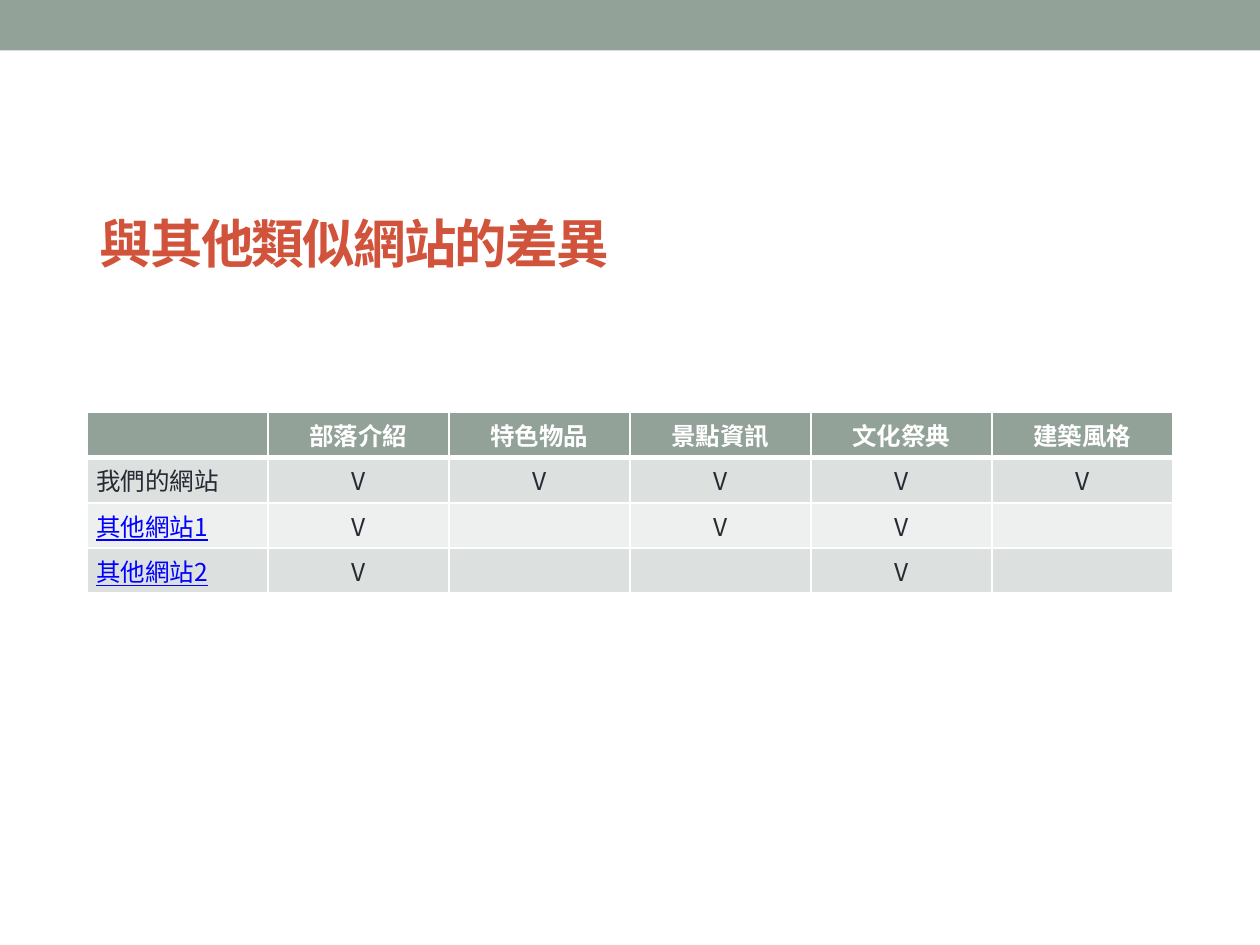
import pptx
import pptx.util
import pptx.dml.color
import pptx.enum.shapes
import pptx.enum.text
import pptx.oxml.ns
from lxml import etree

Pt = pptx.util.Pt
RGBColor = pptx.dml.color.RGBColor
PP_ALIGN = pptx.enum.text.PP_ALIGN
MSO_ANCHOR = pptx.enum.text.MSO_ANCHOR
qn = pptx.oxml.ns.qn

SAGE = RGBColor(0x93, 0xA2, 0x99)
RED = RGBColor(0xD2, 0x53, 0x3C)
WHITE = RGBColor(0xFF, 0xFF, 0xFF)
INK = RGBColor(0x29, 0x29, 0x34)
LINK_BLUE = RGBColor(0x00, 0x00, 0xFF)
BAND_DARK = RGBColor(0xDC, 0xE0, 0xDE)
BAND_LIGHT = RGBColor(0xEE, 0xF0, 0xEF)
FONT = "Noto Sans CJK SC"

ROWS = [
    ["", "部落介紹", "特色物品", "景點資訊", "文化祭典", "建築風格"],
    ["我們的網站", "V", "V", "V", "V", "V"],
    ["其他網站1", "V", "", "V", "V", ""],
    ["其他網站2", "V", "", "", "V", ""],
]


def set_font(p, size, color, bold):
    """Format a paragraph, for Latin and East Asian text alike."""
    font = p.font
    font.size, font.bold, font.name = Pt(size), bold, FONT
    font.color.rgb = color
    etree.SubElement(font._rPr, qn("a:ea"), typeface=FONT)


def add_border(cell, side, width):
    ln = etree.SubElement(cell._tc.get_or_add_tcPr(), qn("a:ln" + side), w=str(Pt(width)))
    fill = etree.SubElement(ln, qn("a:solidFill"))
    etree.SubElement(fill, qn("a:srgbClr"), val=str(WHITE))


prs = pptx.Presentation()
prs.slide_width, prs.slide_height = Pt(720), Pt(540)
s = prs.slides.add_slide(prs.slide_layouts[5])

# Band across the top, behind everything else
bar = s.shapes.add_shape(pptx.enum.shapes.MSO_SHAPE.RECTANGLE, 0, 0, Pt(720), Pt(28.8))
bar.shadow.inherit = False
bar.fill.solid()
bar.fill.fore_color.rgb = SAGE
bar.line.fill.background()
s.shapes._spTree.insert(2, bar._element)

# Title
title = s.shapes.title
title.left, title.top, title.width, title.height = Pt(49.7), Pt(116), Pt(315), Pt(45)
tf = title.text_frame
tf.text = "與其他類似網站的差異"
tf.word_wrap = True
tf.auto_size = pptx.enum.text.MSO_AUTO_SIZE.NONE
tf.vertical_anchor = MSO_ANCHOR.MIDDLE
p = tf.paragraphs[0]
p.alignment = PP_ALIGN.LEFT
set_font(p, 30, RED, True)
p.runs[0].font._rPr.set("spc", "-100")

# Comparison table
table = s.shapes.add_table(len(ROWS), len(ROWS[0]), Pt(49.7), Pt(235.7), Pt(620.64), Pt(88)).table
for column in table.columns:
    column.width = Pt(103.44)
for i, row in enumerate(ROWS):
    table.rows[i].height = Pt(22)
    for j, text in enumerate(row):
        cell = table.cell(i, j)
        cell.margin_left = cell.margin_right = Pt(5.3)
        cell.margin_top = cell.margin_bottom = Pt(2.7)
        for side in "LRTB":
            under_header = (i, side) in ((0, "B"), (1, "T"))
            add_border(cell, side, 3 if under_header else 1)
        cell.fill.solid()
        cell.fill.fore_color.rgb = SAGE if i == 0 else BAND_DARK if i % 2 else BAND_LIGHT
        p = cell.text_frame.paragraphs[0]
        if not text:
            etree.SubElement(p._p, qn("a:endParaRPr"), sz="1400")
            continue
        p.text = text
        p.alignment = PP_ALIGN.LEFT if j == 0 else PP_ALIGN.CENTER
        is_link = j == 0 and i > 1
        set_font(p, 14, WHITE if i == 0 else LINK_BLUE if is_link else INK, i == 0)
        if is_link:
            p.font.underline = True

prs.save("out.pptx")
